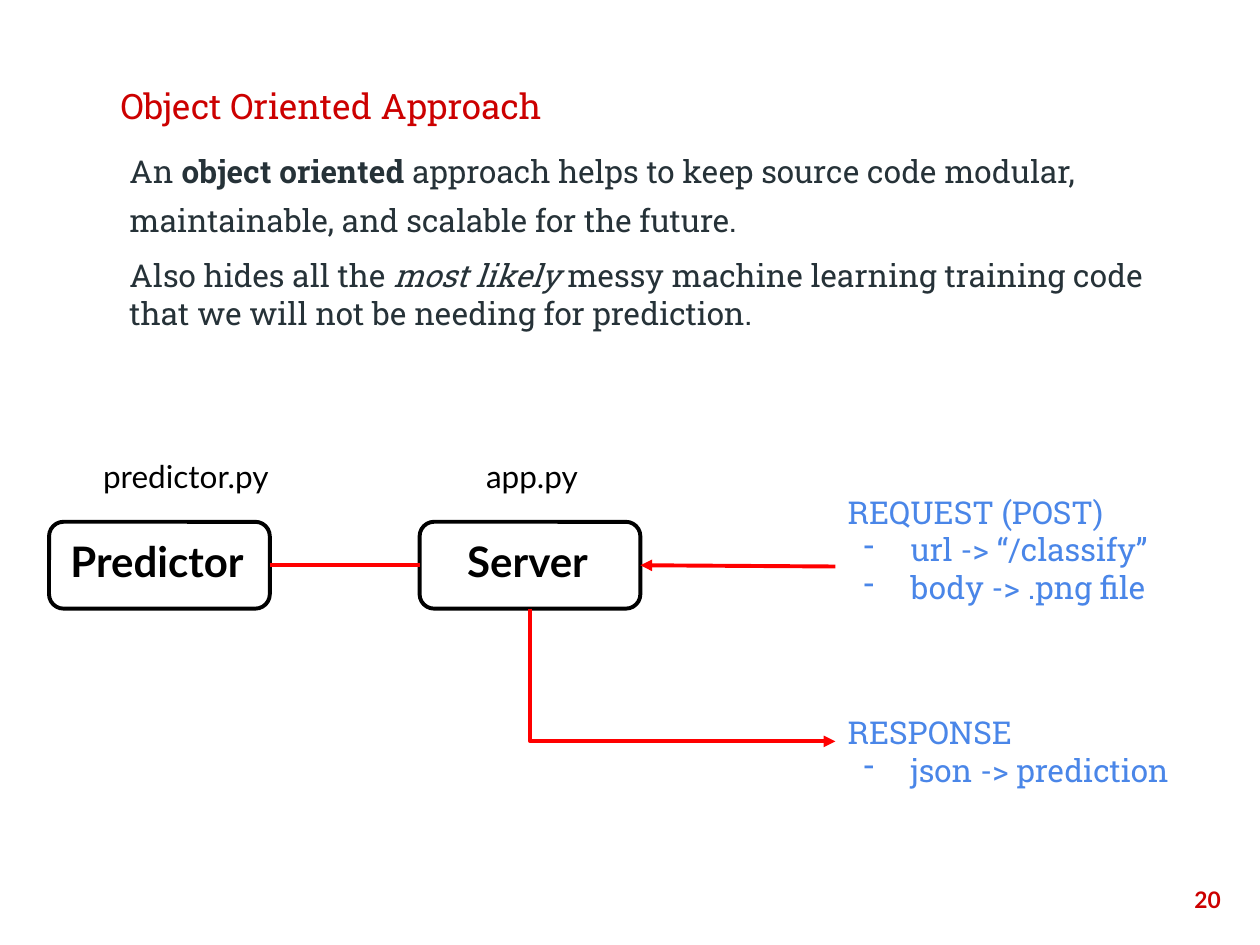
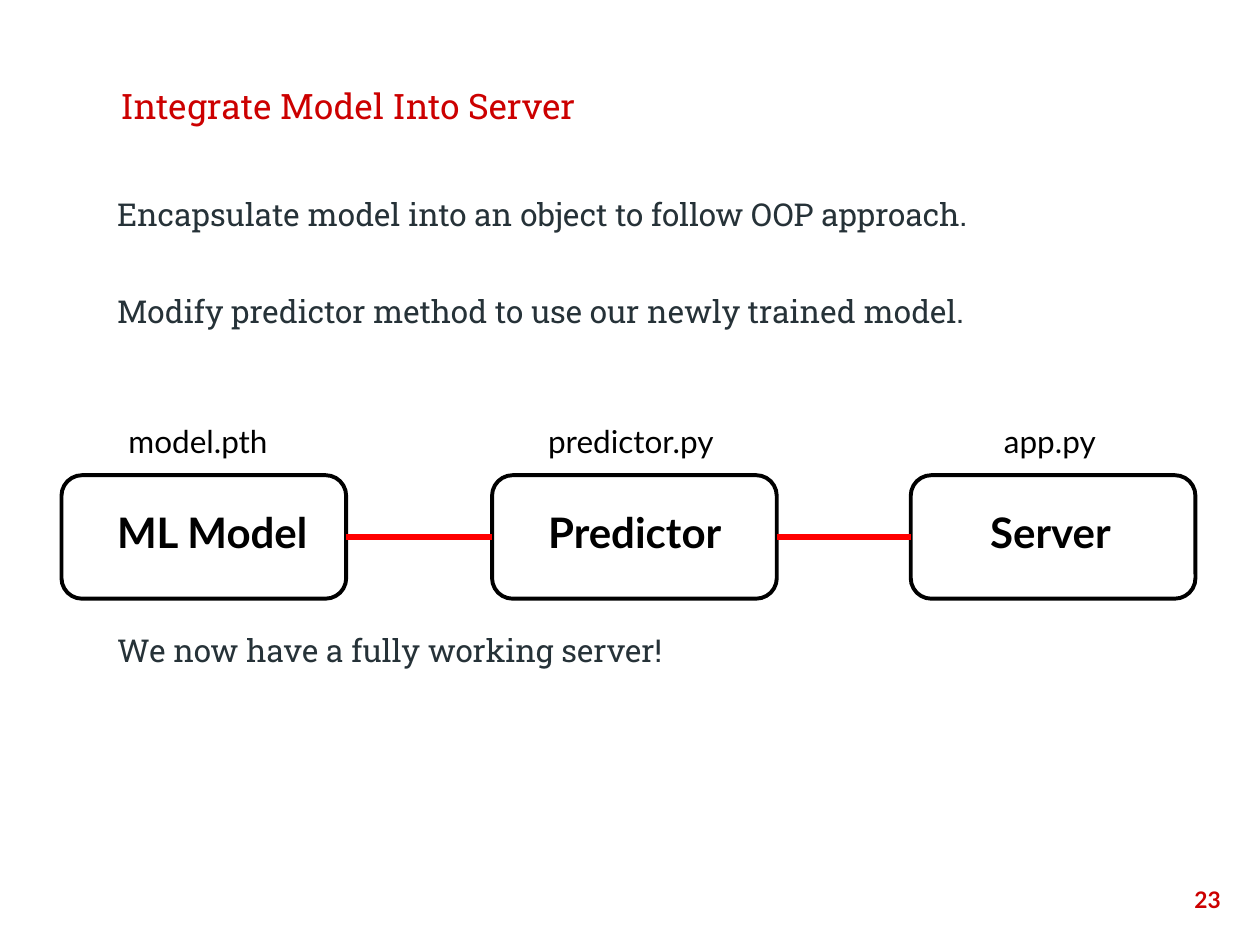
from pptx import Presentation
from pptx.dml.color import RGBColor
from pptx.enum.shapes import MSO_CONNECTOR, MSO_SHAPE
from pptx.enum.text import MSO_ANCHOR, MSO_AUTO_SIZE, PP_ALIGN
from pptx.oxml.ns import qn
from pptx.util import Cm, Pt
from lxml import etree

LEFT, RIGHT = PP_ALIGN.LEFT, PP_ALIGN.RIGHT
TOP, MIDDLE = MSO_ANCHOR.TOP, MSO_ANCHOR.MIDDLE
NO_FIT = MSO_AUTO_SIZE.NONE
ROUND = MSO_SHAPE.ROUNDED_RECTANGLE
STRAIGHT, ELBOW = MSO_CONNECTOR.STRAIGHT, MSO_CONNECTOR.ELBOW

SLAB, LATO = "Roboto Slab", "Lato"
RED, BRIGHT, DARK, BLUE, BLACK = "CC0000", "FF0000", "263238", "4A86E8", "000000"
TITLE_ONLY = 5
LINE, GAP = 21.7, 6  # height of a body line and space above it, in points


def rgb(code):
    return RGBColor.from_string(code)


def skip(lines):
    """Space before a paragraph that starts this many lines below the last."""
    return lines * (LINE + GAP) - LINE


def write(frame, paras, font=SLAB, size=18, color=DARK, bold=False,
          align=LEFT, anchor=TOP, gaps=(), dashed=False):
    """Fill a frame; a paragraph is a string or a list of (text, style) runs."""
    frame.word_wrap = True
    frame.auto_size = NO_FIT
    frame.vertical_anchor = anchor
    frame.margin_left = frame.margin_right = Cm(0.25)
    frame.margin_top = frame.margin_bottom = Cm(0.25)
    for i, para in enumerate(paras):
        p = frame.add_paragraph() if i else frame.paragraphs[0]
        p.alignment = align
        if gaps:
            p.space_before = Pt(gaps[i])
        if dashed and i:
            dash(p, color)
        for words, style in [(para, "")] if isinstance(para, str) else para:
            run = p.add_run()
            run.text = words
            run.font.name, run.font.size = font, Pt(size)
            run.font.color.rgb = rgb(color)
            run.font.bold = bold or style == "bold"
            run.font.italic = style == "italic"


def dash(para, color):
    """Give a paragraph a coloured dash bullet with a hanging indent."""
    props = para._p.get_or_add_pPr()
    props.set("marL", str(Cm(1.27)))
    props.set("indent", str(-Cm(0.95)))
    tint = etree.SubElement(props, qn("a:buClr"))
    etree.SubElement(tint, qn("a:srgbClr"), val=color)
    etree.SubElement(props, qn("a:buChar"), char="-")


class Deck:
    def __init__(self):
        self.prs = Presentation()
        self.prs.slide_width, self.prs.slide_height = Cm(25.4), Cm(19.05)
        self.slide = None

    def page(self, title, number):
        layout = self.prs.slide_layouts[TITLE_ONLY]
        self.slide = self.prs.slides.add_slide(layout)
        head = self.slide.shapes.title
        head.left, head.top = Cm(2.18), Cm(1.42)
        head.width, head.height = Cm(21.03), Cm(1.42)
        write(head.text_frame, [title], size=20, color=RED, anchor=MIDDLE)
        self.text([str(number)], 23.34, 17.6, 1.52, 1.45, font=LATO,
                  size=13, color=RED, bold=True, align=RIGHT)

    def text(self, paras, x, y, w, h, **style):
        box = self.slide.shapes.add_textbox(Cm(x), Cm(y), Cm(w), Cm(h))
        write(box.text_frame, paras, **style)
        return box

    def box(self, x, y, w, h):
        box = self.slide.shapes.add_shape(ROUND, Cm(x), Cm(y), Cm(w), Cm(h))
        box.shadow.inherit = False
        box.fill.background()
        box.line.color.rgb = rgb(BLACK)
        box.line.width = Pt(2.25)
        return box

    def row(self, nodes, top, size, name_top, file_top, area):
        """Draw a row of boxes, each with its name and its file above."""
        boxes = []
        for x, name, name_x, file, file_x in nodes:
            boxes.append(self.box(x, top, *size))
            self.text([name], name_x, name_top, *area,
                      font=LATO, size=24, color=BLACK, bold=True)
            self.text([file], file_x, file_top, *area, font=LATO, color=BLACK)
        return boxes

    def wire(self, kind, width, arrow):
        """Add a red connector, to be placed by the caller."""
        wire = self.slide.shapes.add_connector(kind, 0, 0, 0, 0)
        wire.line.color.rgb = rgb(BRIGHT)
        wire.line.width = Pt(width)
        props = wire._element.spPr
        if arrow:
            etree.SubElement(props.find(qn("a:ln")), qn("a:tailEnd"),
                             type="triangle")
        etree.SubElement(props, qn("a:effectLst"))
        return wire

    def join(self, start, side, end, far, width=2.25, arrow=False):
        wire = self.wire(STRAIGHT, width, arrow)
        wire.begin_connect(start, side)
        wire.end_connect(end, far)

    def bend(self, start, end):
        """Arrow down from the bottom of start, then right to end's left side."""
        wire = self.wire(ELBOW, 2.25, True)
        x, y = start.left + start.width // 2, start.top + start.height
        across, down = end.left - x, end.top + end.height // 2 - y
        # The preset runs right then down, so it is turned and mirrored.
        wire.left = x + (across - down) // 2
        wire.top = y + (down - across) // 2
        wire.width, wire.height = down, across
        props = wire._element.spPr
        frame = props.find(qn("a:xfrm"))
        frame.set("rot", "16200000")
        frame.set("flipH", "1")
        props.find(qn("a:prstGeom")).set("prst", "bentConnector2")


def approach(deck):
    deck.page("Object Oriented Approach", 20)
    deck.text([
        [("An ", ""), ("object oriented", "bold"),
         (" approach helps to keep source code modular,", "")],
        "maintainable, and scalable for the future.",
        [("Also hides all the ", ""), ("most likely ", "italic"),
         ("messy machine learning training code that we will not be "
          "needing for prediction.", "")],
    ], 2.36, 2.82, 21.16, 5.74, gaps=(GAP, GAP, 10))
    reply = deck.text(["RESPONSE", "json -> prediction"],
                      16.84, 14.12, 8.03, 1.65, color=BLUE, dashed=True)
    ask = deck.text(["REQUEST (POST)", "url -> “/classify”",
                     "body -> .png file"],
                    16.84, 9.68, 8.03, 3.48, color=BLUE, dashed=True)
    model, server = deck.row([
        (0.99, "Predictor", 1.17, "predictor.py", 1.83),
        (8.46, "Server", 9.17, "app.py", 9.55),
    ], 10.52, (4.45, 1.75), 10.55, 8.97, (4.06, 1.42))
    deck.join(model, 3, server, 1)
    deck.join(ask, 1, server, 3, arrow=True)
    deck.bend(server, reply)


def merge(deck):
    deck.page("Integrate Model Into Server", 23)
    boxes = deck.row([
        (1.24, "ML Model", 2.11, "model.pth", 2.34),
        (9.92, "Predictor", 10.8, "predictor.py", 10.8),
        (18.36, "Server", 19.71, "app.py", 19.99),
    ], 9.58, (5.74, 2.49), 9.96, 8.26, (4.88, 1.7))
    deck.text([
        "Encapsulate model into an object to follow OOP approach.",
        "Modify predictor method to use our newly trained model.",
        "We now have a fully working server!",
    ], 2.11, 3.68, 21.16, 13.11, gaps=(GAP, skip(2), skip(7)))
    for start, end in zip(boxes, boxes[1:]):
        deck.join(start, 3, end, 1, width=3)


def main():
    deck = Deck()
    approach(deck)
    merge(deck)
    deck.prs.save("out.pptx")


if __name__ == "__main__":
    main()
